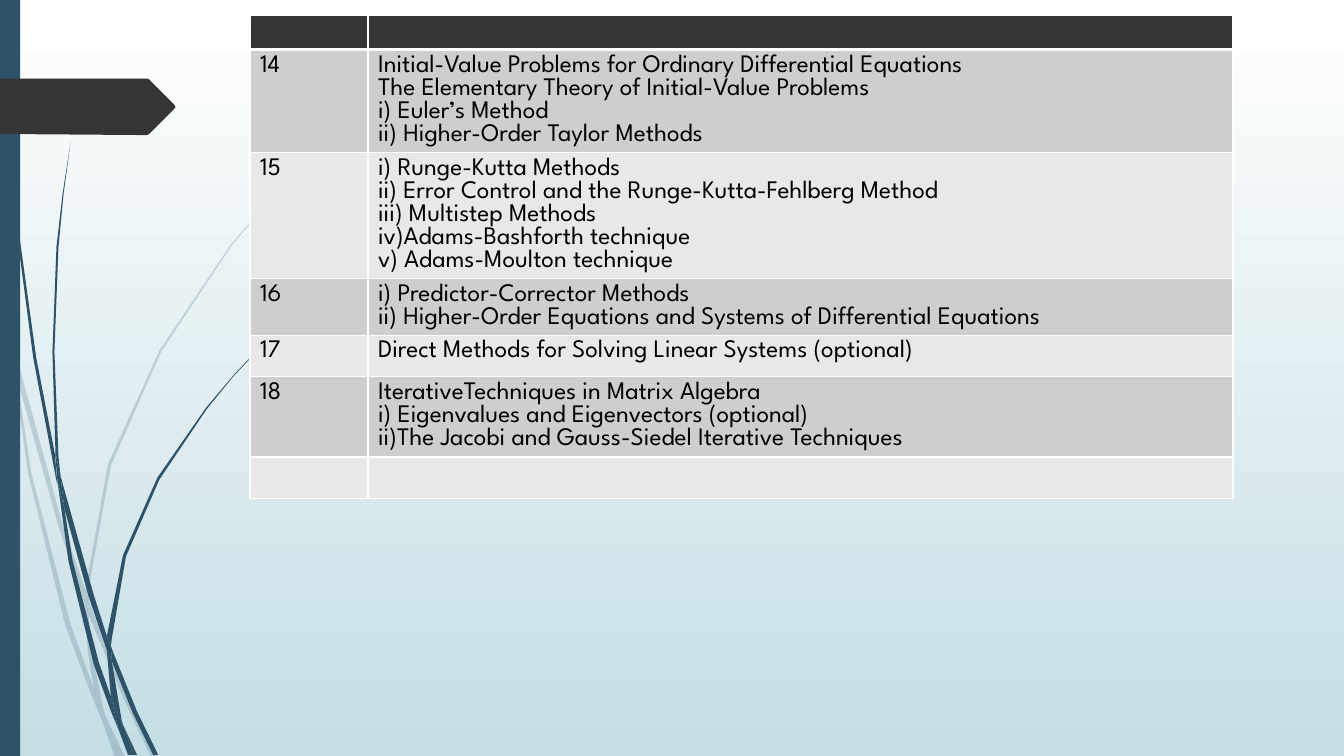
from dataclasses import dataclass

from lxml import etree
from pptx import Presentation
from pptx import util as u
from pptx.dml import color
from pptx.enum import shapes, text
from pptx.oxml import ns

PX = 9144  # 100 px to the inch
FONT = "League Spartan"
NAVY, CHARCOAL, WHITE, BLACK = "2E5369", "353535", "FFFFFF", "000000"
MID_GREY, LIGHT_GREY = "CECECE", "E8E8E8"


@dataclass(frozen=True)
class Spray:
    """Grass blades, each an outline of x y pairs in px."""
    opacity: int
    blades: tuple[str, ...]


@dataclass(frozen=True)
class Week:
    number: str
    topics: tuple[str, ...]
    height: int


PALE_SPRAY = Spray(20, (
    "11 350 9 322 0 282 0 299 10 344",
    "58 522 84 599 85 586 62 520 14 345 17 376",
    "92 607 88 596 88 610 123 694 150 751 155 751 127 692",
    "119 751 124 751 105 711",
    "93 683 70 619 31 469 17 376 11 350 28 470 65 621 92 693 101 714 99 707",
    "84 599 87 646 93 683 96 692 105 711 103 706 91 646 88 610 88 608",
    "88 584 110 462 160 349 229 245 268 198 290 175 312 154 312 153 289 175 268 197"
    " 228 244 158 348 107 461 85 584 85 586 88 596",
    "101 714 114 751 119 751",
    "88 608 88 610 88 596 85 586 84 599",
    "96 692 93 683 99 707 101 714 119 751 105 711",
))

DARK_SPRAY = Spray(100, (
    "7 110 17 233 33 355 56 477 57 481 55 457 55 453 36 355 19 232 8 109 5 48 4 0 3 0 4 48",
    "88 592 106 645 106 633 106 631 93 590 60 472 64 505",
    "113 649 110 641 111 656 132 708 152 749 157 749 136 706",
    "110 691 98 657 72 556 64 505 57 477 68 557 93 659 111 708 117 722 116 717",
    "60 472 58 453 54 349 58 245 63 193 70 141 62 193 56 245 52 349 55 449",
    "133 749 136 749 122 719",
    "57 477 64 505 60 472 55 449 55 453",
    "111 633 125 552 158 476 205 406 231 374 245 359 261 344 260 344 245 358 231 373"
    " 204 405 156 474 122 551 106 631 110 641",
    "117 722 127 749 131 749",
    "106 645 110 691 116 706 122 719 121 716 111 656 109 651",
    "106 645 109 651 111 656 110 641 106 631 106 633",
    "116 706 110 691 116 717 117 722 130 749 133 749 122 719",
))

TAG_OUTLINE = "0 78 146 78 148 79 173 104 174 106 173 108 148 133 146 134 136 134 0 133"

WEEKS = (
    Week("", (), 34),
    Week("14", ("Initial-Value Problems for Ordinary Differential Equations",
                "The Elementary Theory of Initial-Value Problems",
                "i) Euler’s Method",
                "ii) Higher-Order Taylor Methods"), 102),
    Week("15", ("i) Runge-Kutta Methods",
                "ii) Error Control and the Runge-Kutta-Fehlberg Method",
                "iii) Multistep Methods",
                "iv)Adams-Bashforth technique",
                "v) Adams-Moulton technique"), 125),
    Week("16", ("i) Predictor-Corrector Methods",
                "ii) Higher-Order Equations and Systems of Differential Equations"), 56),
    Week("17", ("Direct Methods for Solving Linear Systems (optional)",), 41),
    Week("18", ("IterativeTechniques in Matrix Algebra",
                "i) Eigenvalues and Eigenvectors (optional)",
                "ii)The Jacobi and Gauss-Siedel Iterative Techniques"), 80),
    Week("", (), 41),
)


def px(length: int) -> u.Emu:
    return u.Emu(length * PX)


def rgb(value: str) -> color.RGBColor:
    return color.RGBColor.from_string(value)


def paint(shape, fill: str, opacity: int = 100) -> None:
    shape.shadow.inherit = False
    shape.line.fill.background()
    shape.fill.solid()
    shape.fill.fore_color.rgb = rgb(fill)
    if opacity < 100:
        tone = shape.fill._xPr.find(".//" + ns.qn("a:srgbClr"))
        etree.SubElement(tone, ns.qn("a:alpha"), val=str(opacity * 1000))


def draw_outline(slide, outline: str, fill: str, opacity: int = 100) -> None:
    numbers = [int(n) for n in outline.split()]
    start, *rest = zip(numbers[::2], numbers[1::2])
    builder = slide.shapes.build_freeform(*start, scale=PX)
    builder.add_line_segments(rest, close=True)
    paint(builder.convert_to_shape(), fill, opacity)


def write_cell(cell, lines: tuple[str, ...], fill: str, bottom_pt: int) -> None:
    cell.vertical_anchor = text.MSO_ANCHOR.TOP
    for i, line in enumerate(lines):
        paragraph = cell.text_frame.paragraphs[0] if i == 0 else cell.text_frame.add_paragraph()
        run = paragraph.add_run()
        run.text = line
        run.font.name, run.font.size = FONT, u.Pt(18)
        run.font.color.rgb = rgb(BLACK)
    if not lines:  # keeps an empty row from growing
        etree.SubElement(cell.text_frame.paragraphs[0]._p, ns.qn("a:endParaRPr"), sz="1200")
    properties = cell._tc.get_or_add_tcPr()
    for side, width in (("L", 1), ("R", 1), ("T", 1), ("B", bottom_pt)):
        border = etree.SubElement(properties, ns.qn(f"a:ln{side}"), w=str(u.Pt(width)))
        solid = etree.SubElement(border, ns.qn("a:solidFill"))
        etree.SubElement(solid, ns.qn("a:srgbClr"), val=WHITE)
    cell.fill.solid()
    cell.fill.fore_color.rgb = rgb(fill)


def draw_schedule(slide) -> None:
    total = sum(week.height for week in WEEKS)
    schedule = slide.shapes.add_table(len(WEEKS), 2, px(248), px(15), px(975), px(total)).table
    schedule.columns[0].width, schedule.columns[1].width = px(117), px(858)
    for i, week in enumerate(WEEKS):
        schedule.rows[i].height = px(week.height)
        fill = CHARCOAL if i == 0 else MID_GREY if i % 2 else LIGHT_GREY
        number = (week.number,) if week.number else ()
        for column, lines in enumerate((number, week.topics)):
            write_cell(schedule.cell(i, column), lines, fill, 3 if i == 0 else 1)


def main() -> None:
    deck = Presentation()
    deck.slide_width, deck.slide_height = px(1333), px(750)
    slide = deck.slides.add_slide(deck.slide_layouts[6])

    # Background
    sky = slide.background.fill
    sky.gradient()
    sky.gradient_angle = 270
    for stop, position, tone in zip(sky.gradient_stops, (0, 1), (WHITE, "C5DEE5")):
        stop.position, stop.color.rgb = position, rgb(tone)

    # Grass, side bar and tag
    for spray in (PALE_SPRAY, DARK_SPRAY):
        for blade in spray.blades:
            draw_outline(slide, blade, NAVY, spray.opacity)
    side_bar = slide.shapes.add_shape(shapes.MSO_SHAPE.RECTANGLE, 0, 0, px(20), px(750))
    paint(side_bar, NAVY)
    draw_outline(slide, TAG_OUTLINE, CHARCOAL)

    # Weekly topics
    draw_schedule(slide)
    deck.save("out.pptx")


if __name__ == "__main__":
    main()
